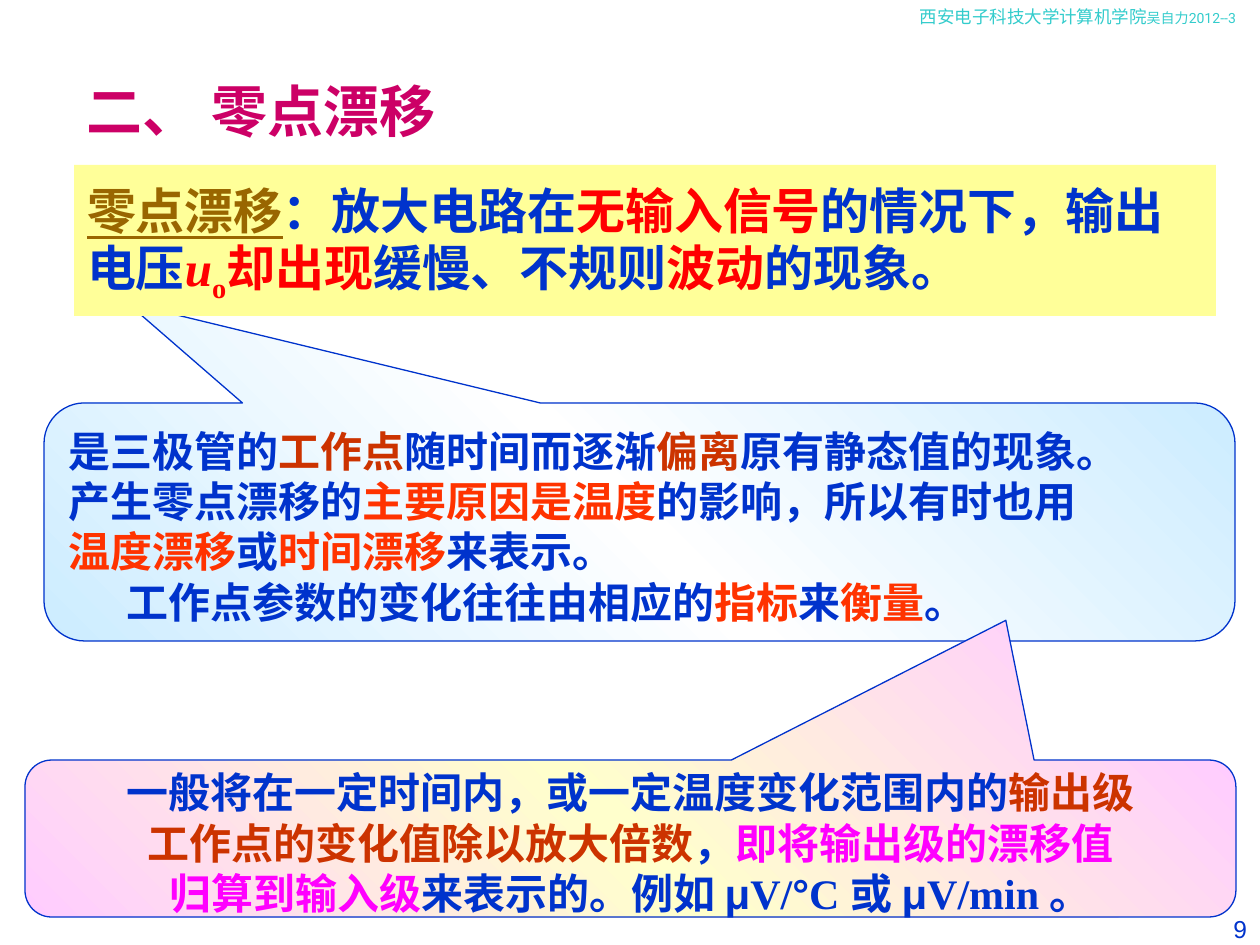
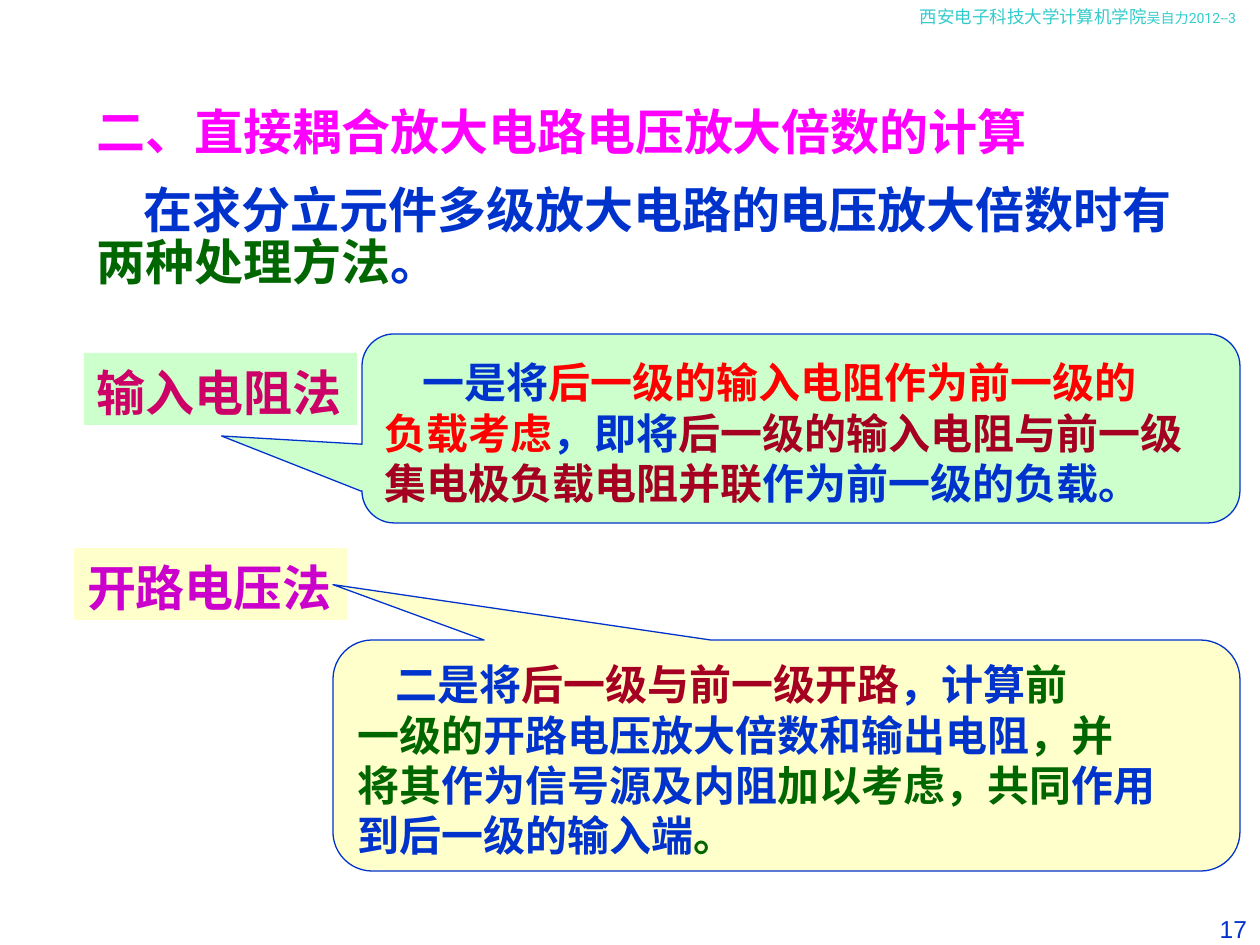
from copy import deepcopy
from pptx import Presentation
from pptx.dml.color import RGBColor
from pptx.enum.shapes import MSO_SHAPE as SHAPE
from pptx.enum.text import MSO_ANCHOR as ANCHOR, PP_ALIGN as ALIGN
from pptx.oxml import parse_xml
from pptx.oxml.ns import nsdecls, qn
from pptx.util import Pt

BLUE = RGBColor(0x00, 0x33, 0xCC)
TEAL = RGBColor(0x33, 0xCC, 0xCC)
CRIMSON = RGBColor(0xCC, 0x00, 0x66)
RUST = RGBColor(0xCC, 0x33, 0x00)
ORANGE = RGBColor(0xFF, 0x33, 0x00)
MAGENTA = RGBColor(0xFF, 0x00, 0xFF)
PURPLE = RGBColor(0xCC, 0x00, 0xCC)
RED = RGBColor(0xFF, 0x00, 0x00)
MAROON = RGBColor(0xA5, 0x00, 0x21)
GREEN = RGBColor(0x00, 0x66, 0x00)
BROWN = RGBColor(0x99, 0x66, 0x00)
YELLOW = RGBColor(0xFF, 0xFF, 0x99)
CREAM = RGBColor(0xFF, 0xFF, 0xCC)
MINT = RGBColor(0xCC, 0xFF, 0xCC)
SKY = RGBColor(0xCC, 0xEC, 0xFF)
PINK = RGBColor(0xFF, 0xCC, 0xFF)
WHITE = RGBColor(0xFF, 0xFF, 0xFF)
CJK, SERIF, SANS, HEAD = "Noto Sans CJK SC", "Times New Roman", "Arial", "Roboto"
CALLOUT = SHAPE.ROUNDED_RECTANGULAR_CALLOUT


def px(n):
    return round(n * 914400 / 126)


def add_text(sl, at, paras, shape=None, fill=None, line=None, adj=(), size=24, font=CJK,
             color=BLUE, bold=True, align=ALIGN.LEFT, spacing=1.2, indents=None):
    box = [px(n) for n in at]
    if shape is None:
        s = sl.shapes.add_textbox(*box)
    else:
        s = sl.shapes.add_shape(shape, *box)
        s.shadow.inherit = False
        for i, value in enumerate(adj):
            s.adjustments[i] = value
        if isinstance(fill, list):
            s.fill.gradient()
            s.fill.gradient_angle = 45
            stops = s._element.spPr.find(".//" + qn("a:gsLst"))
            stops.append(deepcopy(stops[0]))
            for i, (stop, c) in enumerate(zip(s.fill.gradient_stops, fill)):
                stop.color.rgb = c
                stop.position = i / 2
        else:
            s.fill.solid()
            s.fill.fore_color.rgb = fill
        if line is None:
            s.line.fill.background()
        else:
            s.line.color.rgb = line
            s.line.width = Pt(0.75)
    tf = s.text_frame
    tf.word_wrap = True
    tf.vertical_anchor = ANCHOR.MIDDLE if shape == CALLOUT else ANCHOR.TOP
    tf.margin_left = tf.margin_right = px(13)
    tf.margin_top, tf.margin_bottom = (px(10), px(2)) if spacing else (px(6), px(6))
    for i, runs in enumerate(paras):
        p = tf.paragraphs[0] if i == 0 else tf.add_paragraph()
        p.alignment = align
        if spacing:
            p.line_spacing = Pt(round(size * spacing, 1))
        if indents and indents[i]:
            p._p.get_or_add_pPr().set("indent", str(px(indents[i])))
        for run in runs:
            text, c, opts = run if isinstance(run, tuple) else (run, color, {})
            r = p.add_run()
            r.text = text
            r.font.name = opts.get("font", font)
            r.font.size = Pt(opts.get("size", size))
            r.font.bold = bold
            r.font.italic = opts.get("italic")
            r.font.underline = opts.get("underline")
            r.font.color.rgb = c
            rPr = r._r.get_or_add_rPr()
            if "baseline" in opts:
                rPr.set("baseline", str(opts["baseline"]))
            rPr.find(qn("a:latin")).addnext(
                parse_xml(f'<a:ea {nsdecls("a")} typeface="{CJK}"/>'))
    return s


prs = Presentation()
prs.slide_width, prs.slide_height = px(1260), px(945)
slides = []
for number in ("9", "17"):
    sl = prs.slides.add_slide(prs.slide_layouts[6])
    add_text(sl, (907, 0, 353, 34),
             [["西安电子科技大学计算机学院", ("吴自力2012--3", TEAL, {"size": 8})]],
             size=10, font=HEAD, color=TEAL, bold=False, spacing=None)
    add_text(sl, (1196, 908, 64, 35), [[number]], size=14, font=SANS,
             bold=False, align=ALIGN.RIGHT, spacing=None)
    slides.append(sl)
drift, gain = slides

add_text(drift, (74, 66, 504, 81), [["二、 零点漂移"]], size=32, color=CRIMSON)
add_text(drift, (44, 403, 1191, 238), [
    ["是三极管的", ("工作点", RUST, {}), "随时间而逐渐", ("偏离", RUST, {}),
     "原有静态值的现象。"],
    ["产生零点漂移的", ("主要原因是温度", ORANGE, {}), "的影响，所以有时也用"],
    [("温度漂移", ORANGE, {}), "或", ("时间漂移", ORANGE, {}), "来表示。"],
    ["工作点参数的变化往往由相应的", ("指标", ORANGE, {}), "来",
     ("衡量", ORANGE, {}), "。"],
], shape=CALLOUT, fill=[SKY, WHITE, SKY], line=BLUE, adj=(-0.43, -0.92, 0.17),
    indents=(0, 0, 0, 58))
add_text(drift, (25, 760, 1211, 157), [
    ["一般将在一定时间内，或一定温度变化范围内的", ("输出级", RUST, {})],
    [("工作点的变化值除以放大倍数", RUST, {}), "，", ("即将输出级的漂移值", MAGENTA, {})],
    [("归算到输入级", MAGENTA, {}), "来表示的。例如 ",
     ("μ", BLUE, {"font": SANS}), ("V/", BLUE, {"font": SERIF}),
     ("°", BLUE, {"font": SANS}), ("C 或 ", BLUE, {"font": SERIF}),
     ("μ", BLUE, {"font": SANS}), ("V/min ", BLUE, {"font": SERIF}), "。"],
], shape=CALLOUT, fill=[PINK, CREAM, PINK], line=BLUE, adj=(0.31, -1.39, 0.17),
    align=ALIGN.CENTER)
add_text(drift, (74, 165, 1142, 151), [
    [("零点漂移", BROWN, {"underline": True}), "：放大电路在", ("无输入信号", RED, {}),
     "的情况下，输出电压", ("u", RED, {"italic": True}), ("o", RED, {"baseline": -25000}),
     ("却出现", RED, {}), "缓慢、不规则", ("波动", RED, {}), "的现象。"],
], shape=SHAPE.RECTANGLE, fill=YELLOW, size=28, font=SERIF, spacing=1.32)

add_text(gain, (84, 175, 1121, 118), [
    ["在求分立元件多级放大电路的电压放大倍数时有", ("两种处理方法", GREEN, {}), "。"],
], size=28, spacing=1.08, indents=(47,))
for name, x, y, fill, color in (("输入电阻法", 84, 353, MINT, CRIMSON),
                                ("开路电压法", 74, 548, CREAM, PURPLE)):
    add_text(gain, (x, y, 273, 72), [[name]], shape=SHAPE.RECTANGLE, fill=fill,
             size=28, color=color)
add_text(gain, (362, 334, 878, 189), [
    ["一是将", ("后一级的输入电阻作为前一级的", RED, {})],
    [("负载考虑", RED, {}), "，即将", ("后一级的输入电阻与前一级", MAROON, {})],
    [("集电极负载电阻并联", MAROON, {}), "作为前一级的负载。"],
], shape=CALLOUT, fill=MINT, line=BLUE, adj=(-0.66, 0.04, 0.17), indents=(38, 0, 0))
add_text(gain, (333, 640, 907, 231), [
    ["二是将", ("后一级与前一级开路", MAROON, {}), "，计算", ("前", GREEN, {})],
    [("一级的", GREEN, {}), "开路电压放大倍数和输出电阻", ("，并", GREEN, {})],
    [("将其", GREEN, {}), "作为信号源及内阻", ("加以考虑，共同", GREEN, {}), "作用"],
    ["到后一级的输入端", ("。", GREEN, {})],
], shape=CALLOUT, fill=CREAM, line=BLUE, adj=(-0.5, -0.74, 0.17), indents=(38, 0, 0, 0))
add_text(gain, (84, 86, 1022, 78), [["二、直接耦合放大电路电压放大倍数的计算"]],
         size=28, font=SERIF, color=MAGENTA, spacing=1.32)

prs.save("out.pptx")
